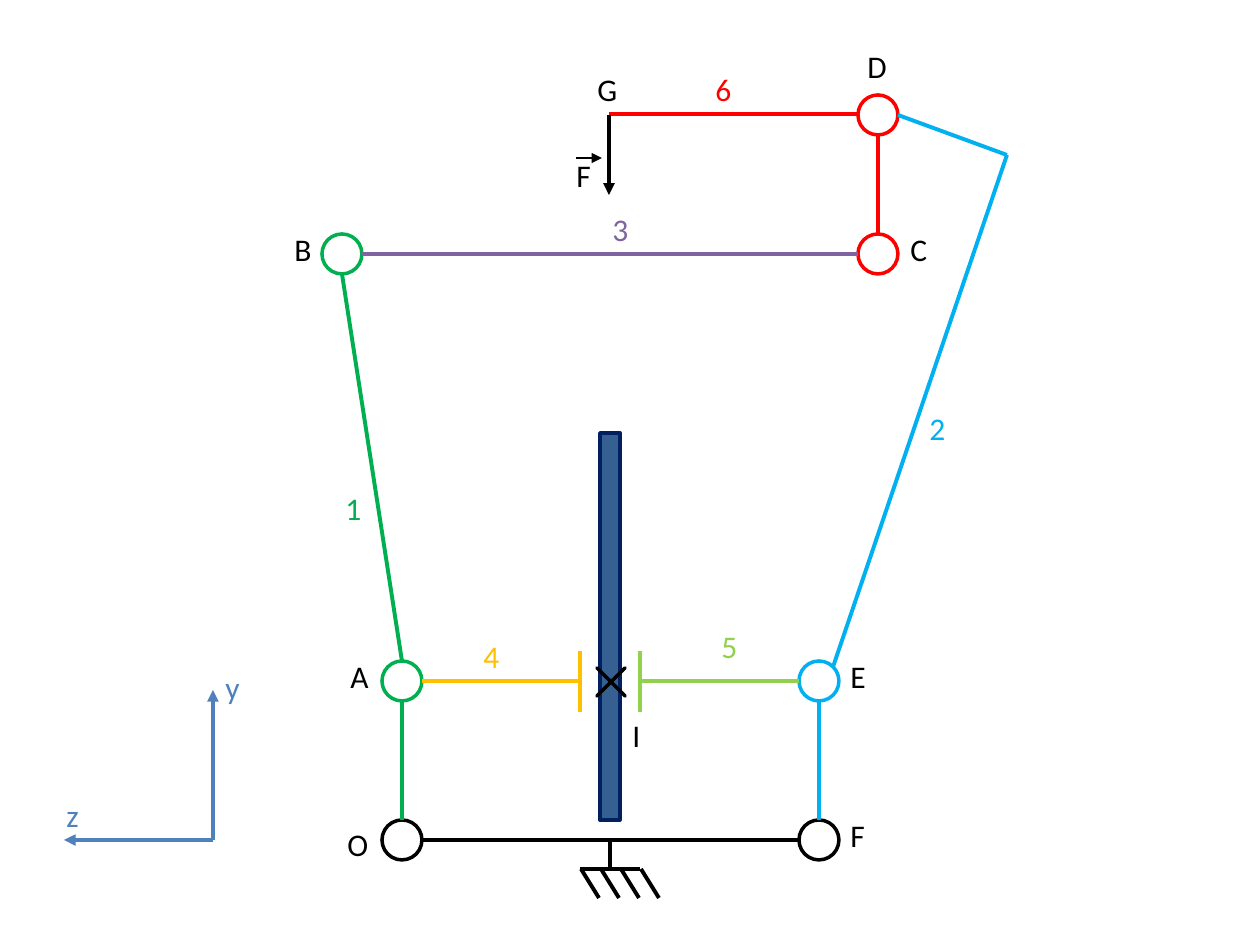
from lxml import etree
from pptx import Presentation
from pptx.dml.color import RGBColor
from pptx.enum import shapes, text
from pptx.oxml.ns import qn
from pptx.util import Pt

PX = 914400 / 126
R = 20  # joint radius
COLORS = {
    "black": "000000", "red": "FF0000", "blue": "00B0F0", "green": "00B050",
    "lime": "92D050", "gold": "FFC000", "purple": "8064A2", "axis": "4F81BD",
    "disc": "376092", "navy": "002060",
}

deck = Presentation()
deck.slide_width, deck.slide_height = round(1260 * PX), round(945 * PX)
page = deck.slides.add_slide(deck.slide_layouts[6])


def add_line(color, x1, y1, x2, y2, width=2.25, arrow=False):
    line = page.shapes.add_connector(
        shapes.MSO_CONNECTOR.STRAIGHT, *(round(v * PX) for v in (x1, y1, x2, y2)))
    line.line.color.rgb = RGBColor.from_string(COLORS[color])
    line.line.width = Pt(width)
    if arrow:
        etree.SubElement(line.line._get_or_add_ln(), qn("a:tailEnd"), type="triangle")
    etree.SubElement(line._element.spPr, qn("a:effectLst"))


def add_outline(kind, color, left, top, width, height, fill=None):
    """Add a preset shape with a 2 pt outline, hollow unless a fill is named."""
    shape = page.shapes.add_shape(
        kind, *(round(v * PX) for v in (left, top, width, height)))
    shape.shadow.inherit = False
    if fill:
        shape.fill.solid()
        shape.fill.fore_color.rgb = RGBColor.from_string(COLORS[fill])
    else:
        shape.fill.background()
    shape.line.color.rgb = RGBColor.from_string(COLORS[color])
    shape.line.width = Pt(2)
    return shape


# Joints: centre and colour
joints = {
    "O": (402, 840, "black"), "F": (819, 840, "black"),
    "A": (402, 681, "green"), "E": (819, 681, "blue"),
    "B": (342, 254, "green"), "C": (878, 254, "red"), "D": (878, 115, "red"),
}
for x, y, color in joints.values():
    add_outline(shapes.MSO_SHAPE.OVAL, color, x - R, y - R, 2 * R, 2 * R)

# Bars between joints: horizontal ones leave sideways, the others vertically
bars = [("O", "F", "black"), ("B", "C", "purple"), ("E", "F", "blue"),
        ("A", "O", "green"), ("D", "C", "red"), ("B", "A", "green")]
for start, end, color in bars:
    (x1, y1, _), (x2, y2, _) = joints[start], joints[end]
    if y1 == y2:
        add_line(color, x1 + R, y1, x2 - R, y2)
    else:
        add_line(color, x1, y1 + R, x2, y2 - R)

# Bent lever 2 and load arm 6
add_line("blue", 1007, 155, 833, 667)
add_line("blue", 898, 115, 1007, 155)
add_line("red", 858, 114, 609, 114)

# Brake pads 4 and 5
for color, pad_x, joint_x in [("gold", 580, 422), ("lime", 640, 799)]:
    add_line(color, joint_x, 681, pad_x, 681)
    add_line(color, pad_x, 651, pad_x, 712)

# Disc and contact point I
add_outline(shapes.MSO_SHAPE.RECTANGLE, "navy", 600, 433, 20, 387, fill="disc")
contact = add_outline(shapes.MSO_SHAPE.CROSS, "black", 591, 662, 40, 40)
contact.adjustments[0] = 0.5
contact.rotation = 45

# Ground
add_line("black", 610, 840, 610, 869)
add_line("black", 580, 869, 640, 869)
for i in range(4):
    add_line("black", 581 + 20 * i, 869, 599 + 20 * i, 898)

# Axes and force
add_line("axis", 213, 840, 213, 690, arrow=True)
add_line("axis", 213, 840, 64, 840, arrow=True)
add_line("black", 609, 115, 609, 195, arrow=True)
add_line("black", 576, 158, 602, 158, width=1.5, arrow=True)

# Labels: text, colour, left, top, width
labels = [
    ("1", "green", 333, 483, 42), ("2", "blue", 917, 403, 42),
    ("3", "purple", 600, 204, 42), ("4", "gold", 471, 631, 42),
    ("5", "lime", 709, 621, 42), ("6", "red", 703, 64, 42),
    ("y", "axis", 213, 662, 40), ("z", "axis", 54, 790, 38),
    ("A", "black", 338, 651, 44), ("B", "black", 282, 224, 44),
    ("C", "black", 898, 224, 44), ("D", "black", 855, 41, 46),
    ("E", "black", 838, 651, 40), ("F", "black", 838, 810, 40),
    ("O", "black", 335, 819, 46), ("I", "black", 620, 710, 34),
    ("F", "black", 564, 150, 40), ("G", "black", 585, 64, 45),
]
for label, color, left, top, width in labels:
    box = page.shapes.add_textbox(*(round(v * PX) for v in (left, top, width, 50)))
    frame = box.text_frame
    frame.word_wrap = False
    frame.auto_size = text.MSO_AUTO_SIZE.SHAPE_TO_FIT_TEXT
    span = frame.paragraphs[0].add_run()
    span.text = label
    for name, value in {"name": "Calibri", "size": Pt(18)}.items():
        setattr(span.font, name, value)
    span.font.color.rgb = RGBColor.from_string(COLORS[color])

deck.save("out.pptx")
